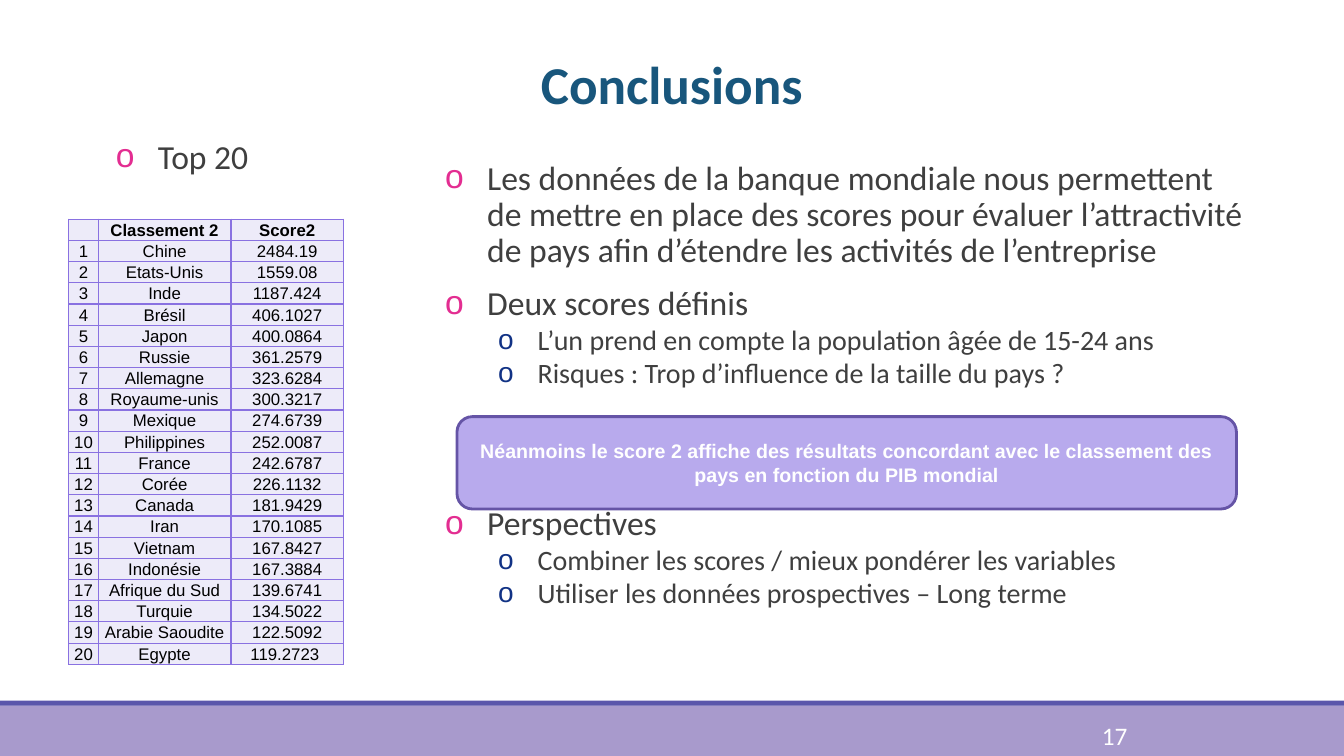
from dataclasses import dataclass

from lxml.etree import SubElement
from pptx import Presentation
from pptx.dml.color import RGBColor
from pptx.enum.shapes import MSO_SHAPE
from pptx.enum.text import MSO_ANCHOR, MSO_AUTO_SIZE, PP_ALIGN
from pptx.oxml.ns import qn
from pptx.util import Inches, Pt

COLUMNS, ROWS = 160, 90
UNIT = Inches(1) // 12


@dataclass(frozen=True)
class Theme:
    heading_font: str = "Calibri"
    detail_font: str = "Arial"
    title: str = "18567C"
    text: str = "3F3F3F"
    white: str = "FFFFFF"
    black: str = "000000"
    bullets: tuple = ("E32D91", "113285")
    footer: str = "472993"
    stripe: str = "211C8E"
    callout: str = "B8AAED"
    callout_line: str = "6554A6"
    cell: str = "EDEBF9"
    border: str = "8971E1"
    title_size: int = 38
    list_sizes: tuple = (24, 20)
    number_size: int = 18
    callout_size: int = 14
    table_size: int = 12


THEME = Theme()
LIST_INDENTS = ((6, -5), (12, -4.7))
LIST_GAPS = (12, 2)
CALLOUT_GAP = 84

CONCLUSIONS = [
    (0, "Les données de la banque mondiale nous permettent de mettre en place "
        "des scores pour évaluer l’attractivité de pays afin d’étendre les "
        "activités de l’entreprise"),
    (0, "Deux scores définis"),
    (1, "L’un prend en compte la population âgée de 15-24 ans"),
    (1, "Risques : Trop d’influence de la taille du pays ?"),
    (0, "Perspectives"),
    (1, "Combiner les scores / mieux pondérer les variables"),
    (1, "Utiliser les données prospectives – Long terme"),
]
CALLOUT = ("Néanmoins le score 2 affiche des résultats concordant avec le "
           "classement des pays en fonction du PIB mondial")
RANKING = [
    ("Chine", "2484.19"), ("Etats-Unis", "1559.08"), ("Inde", "1187.424"),
    ("Brésil", "406.1027"), ("Japon", "400.0864"), ("Russie", "361.2579"),
    ("Allemagne", "323.6284"), ("Royaume-unis", "300.3217"),
    ("Mexique", "274.6739"), ("Philippines", "252.0087"),
    ("France", "242.6787"), ("Corée", "226.1132"), ("Canada", "181.9429"),
    ("Iran", "170.1085"), ("Vietnam", "167.8427"), ("Indonésie", "167.3884"),
    ("Afrique du Sud", "139.6741"), ("Turquie", "134.5022"),
    ("Arabie Saoudite", "122.5092"), ("Egypte", "119.2723 "),
]


def grid(*lengths):
    return [round(length * UNIT) for length in lengths]


def set_attributes(target, values):
    for name, value in values.items():
        setattr(target, name, value)


def place(shape, box):
    set_attributes(shape, dict(zip(("left", "top", "width", "height"), grid(*box))))


def write(paragraph, text, font, size, color, bold=False, **layout):
    set_attributes(paragraph, layout)
    run = paragraph.add_run()
    run.text = text
    set_attributes(run.font, {"name": font, "size": Pt(size), "bold": bold})
    run.font.color.rgb = RGBColor.from_string(color)


def add_bullet(paragraph, level):
    properties = paragraph._p.get_or_add_pPr()
    margin, indent = grid(*LIST_INDENTS[level])
    properties.set("marL", str(margin))
    properties.set("indent", str(indent))
    color = SubElement(properties, qn("a:buClr"))
    SubElement(color, qn("a:srgbClr"), val=THEME.bullets[level])
    SubElement(properties, qn("a:buFont"), typeface=THEME.detail_font)
    SubElement(properties, qn("a:buChar"), char="o")


def fill_title(placeholder, box, text):
    place(placeholder, box)
    set_attributes(placeholder.text_frame, {
        "vertical_anchor": MSO_ANCHOR.MIDDLE, "auto_size": MSO_AUTO_SIZE.NONE})
    write(placeholder.text_frame.paragraphs[0], text, THEME.heading_font,
          THEME.title_size, THEME.title, True,
          alignment=PP_ALIGN.CENTER, line_spacing=0.85)


def fill_list(placeholder, box, items, gaps=None):
    place(placeholder, box)
    frame = placeholder.text_frame
    set_attributes(frame, {
        "margin_left": 0, "margin_right": 0, "vertical_anchor": MSO_ANCHOR.TOP,
        "auto_size": MSO_AUTO_SIZE.NONE})
    for index, (level, text) in enumerate(items):
        paragraph = frame.add_paragraph() if index else frame.paragraphs[0]
        gap = (gaps or {}).get(text, LIST_GAPS[level])
        write(paragraph, text, THEME.heading_font, THEME.list_sizes[level],
              THEME.text, level=level, line_spacing=0.9,
              space_before=Pt(gap), space_after=Pt(0))
        add_bullet(paragraph, level)


def add_block(slide, kind, box, color, opacity=None, line=None):
    shape = slide.shapes.add_shape(kind, *grid(*box))
    shape.shadow.inherit = False
    shape.fill.solid()
    shape.fill.fore_color.rgb = RGBColor.from_string(color)
    if opacity:
        color_element = shape._element.spPr.find(".//" + qn("a:srgbClr"))
        SubElement(color_element, qn("a:alpha"), val=str(opacity * 1000))
    if line:
        shape.line.color.rgb = RGBColor.from_string(line)
        shape.line.width = Pt(2)
    else:
        shape.line.fill.background()
    return shape


def add_callout(slide, box, text):
    shape = add_block(slide, MSO_SHAPE.ROUNDED_RECTANGLE, box, THEME.callout,
                      line=THEME.callout_line)
    set_attributes(shape.text_frame, {
        "word_wrap": True, "vertical_anchor": MSO_ANCHOR.MIDDLE})
    write(shape.text_frame.paragraphs[0], text, THEME.detail_font,
          THEME.callout_size, THEME.white, True, alignment=PP_ALIGN.CENTER)


def format_cell(cell, text, bold):
    set_attributes(cell, {
        "margin_left": Inches(0.01), "margin_right": Inches(0.01),
        "margin_top": Inches(0.01), "margin_bottom": 0,
        "vertical_anchor": MSO_ANCHOR.MIDDLE})
    properties = cell._tc.get_or_add_tcPr()
    for side in ("lnL", "lnR", "lnT", "lnB"):
        border = SubElement(properties, qn(f"a:{side}"), w=str(Pt(1)))
        fill = SubElement(border, qn("a:solidFill"))
        SubElement(fill, qn("a:srgbClr"), val=THEME.border)
    cell.fill.solid()
    cell.fill.fore_color.rgb = RGBColor.from_string(THEME.cell)
    paragraph = cell.text_frame.paragraphs[0]
    if text:
        write(paragraph, text, THEME.detail_font, THEME.table_size,
              THEME.black, bold, alignment=PP_ALIGN.CENTER)
    else:
        SubElement(paragraph._p, qn("a:endParaRPr"), sz=str(THEME.table_size * 100))


def add_ranking(slide, left, top, widths, row_height):
    rows = [("", "Classement 2", "Score2")]
    rows += [(str(rank), *entry) for rank, entry in enumerate(RANKING, 1)]
    box = grid(left, top, sum(widths), row_height * len(rows))
    table = slide.shapes.add_table(len(rows), len(widths), *box).table
    set_attributes(table, {"first_row": False, "horz_banding": False})
    for column, width in zip(table.columns, grid(*widths)):
        column.width = width
    for index, (row, texts) in enumerate(zip(table.rows, rows)):
        row.height = grid(row_height)[0]
        for cell, text in zip(row.cells, texts):
            format_cell(cell, text, bold=index == 0)


def add_slide_number(slide, box, text):
    frame = slide.shapes.add_textbox(*grid(*box)).text_frame
    frame.word_wrap = True
    write(frame.paragraphs[0], text, THEME.heading_font, THEME.number_size,
          THEME.white)


def main():
    presentation = Presentation()
    presentation.slide_width, presentation.slide_height = grid(COLUMNS, ROWS)
    slide = presentation.slides.add_slide(presentation.slide_layouts[3])
    title, top_list, conclusions = slide.placeholders
    add_block(slide, MSO_SHAPE.RECTANGLE, (0, 84, COLUMNS, 6), THEME.footer, 47)
    add_block(slide, MSO_SHAPE.RECTANGLE, (0, 83.4, COLUMNS, 0.6), THEME.stripe, 74)
    add_slide_number(slide, (130, 85.2, 17.2, 4.8), "17")
    fill_title(title, (11, 5, 138, 11), "Conclusions")
    fill_list(top_list, (12.8, 16.1, 64.8, 52.8), [(0, "Top 20")])
    fill_list(conclusions, (52, 18.6, 97, 61.3), CONCLUSIONS,
              {"Perspectives": CALLOUT_GAP})
    add_callout(slide, (54.4, 49.6, 92.8, 11), CALLOUT)
    add_ranking(slide, 8.2, 26.1, (3.5, 15.8, 13.4), 2.4)
    presentation.save("out.pptx")


if __name__ == "__main__":
    main()
